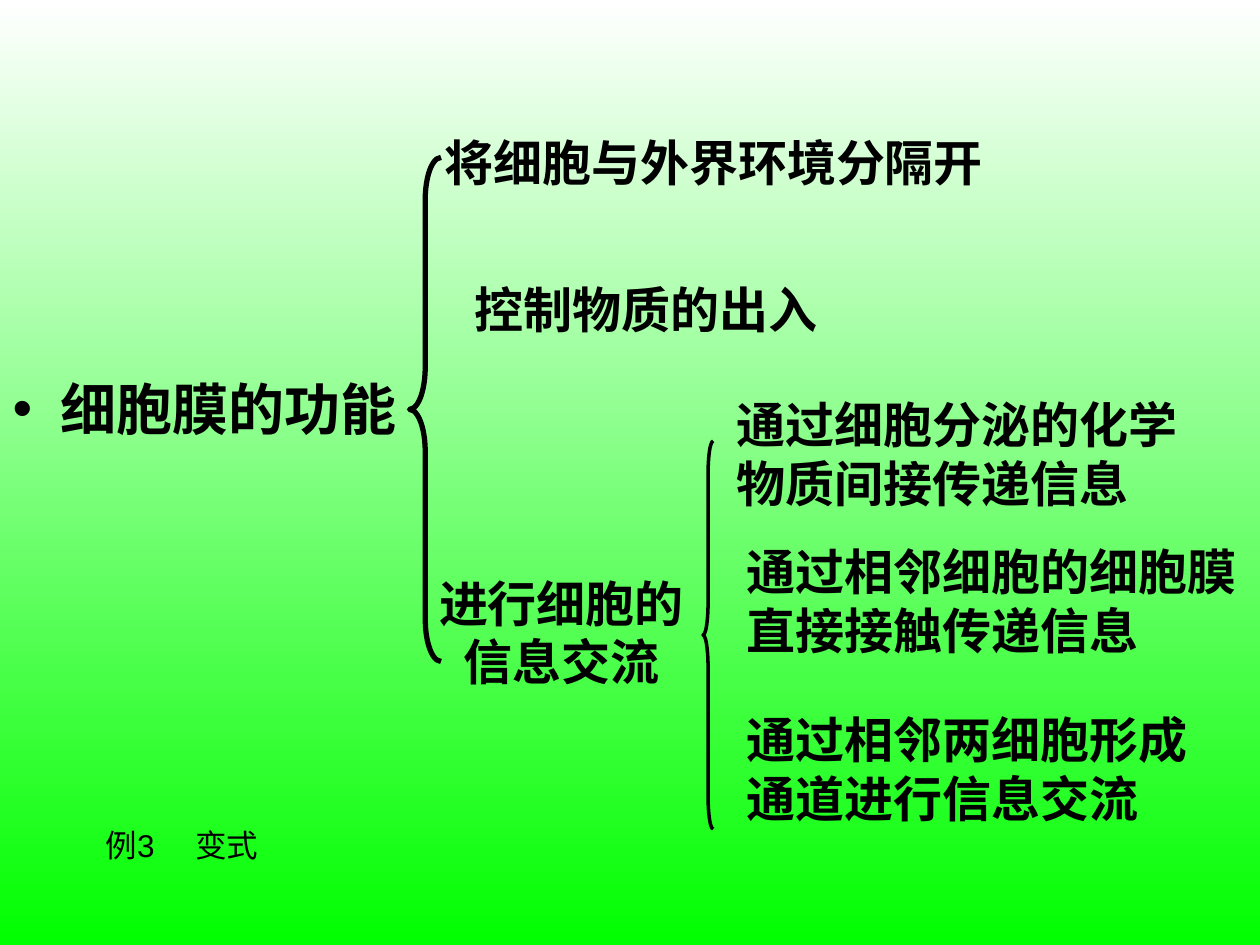
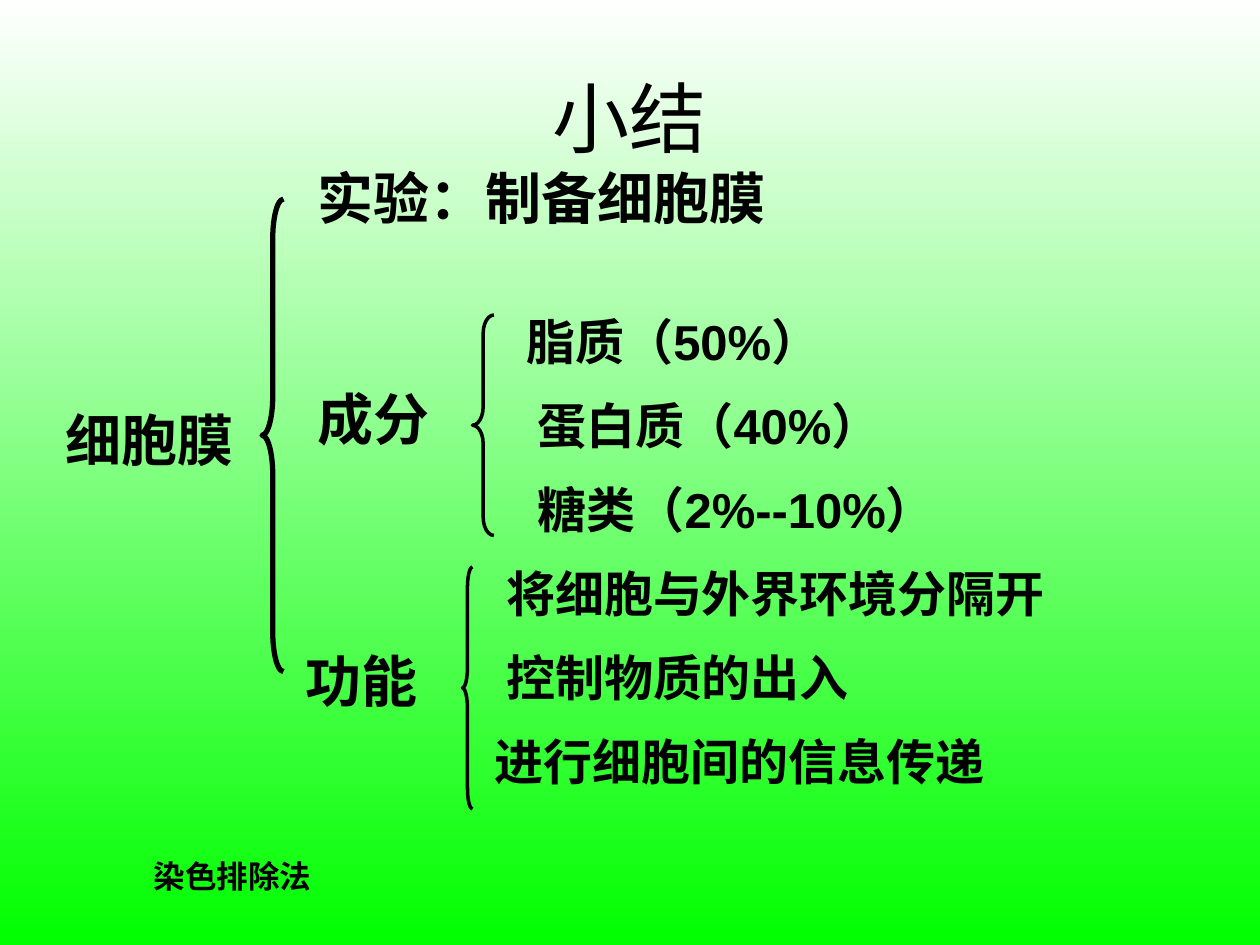
from lxml import etree
from pptx import Presentation
from pptx.dml.color import RGBColor
from pptx.enum.lang import MSO_LANGUAGE_ID
from pptx.enum.shapes import MSO_SHAPE
from pptx.enum.text import MSO_ANCHOR, MSO_AUTO_SIZE, PP_ALIGN
from pptx.oxml.ns import qn
from pptx.util import Inches, Pt

LEFT, CENTER = PP_ALIGN.LEFT, PP_ALIGN.CENTER
TOP, MIDDLE = MSO_ANCHOR.TOP, MSO_ANCHOR.MIDDLE
NO_FIT = MSO_AUTO_SIZE.NONE
LEFT_BRACE = MSO_SHAPE.LEFT_BRACE
CHINESE = MSO_LANGUAGE_ID.SIMPLIFIED_CHINESE

FONT = "Arial"
COLORS = {"ink": "000000", "sky": "FFFFFF", "grass": "00FF00"}
TITLE_SIZE, HEADING_SIZE, ITEM_SIZE, NOTE_SIZE = 44, 32, 28, 18
LINE_HEIGHT = {HEADING_SIZE: 0.54, ITEM_SIZE: 0.47, NOTE_SIZE: 0.3}
ITEM_PITCH = 0.67
BULLET_INDENT = 0.38

FUNCTIONS = {
    "topic": ("细胞膜的功能", (0, 2.92, 3.67, 0.67)),
    "braces": [(3.25, 1.25, 0.25, 4, 3), (5.58, 3.5, 0.08, 3.08, 2)],
    "items": [
        ("将细胞与外界环境分隔开", 3.33, 1, 4.67, 1, CENTER),
        ("控制物质的出入", 3.67, 2.17, 3.67, 1, LEFT),
        ("进行细胞的信息交流", 3.33, 4.5, 2.25, 2, CENTER),
        ("通过细胞分泌的化学物质间接传递信息", 5.75, 3.08, 3.92, 2, LEFT),
        ("通过相邻细胞的细胞膜直接接触传递信息", 5.83, 4.25, 4.17, 2, LEFT),
        ("通过相邻两细胞形成通道进行信息交流", 5.83, 5.58, 3.75, 2, LEFT),
    ],
    "note": ("例3\t变式", 0.74, 6.51, 2.76),
    "note_tab": 0.71,
}

SUMMARY = {
    "title": ("小结", (0.5, 0.3, 9, 1.25)),
    "headings": [
        ("细胞膜", 0.42, 3.17, 1.67),
        ("实验：制备细胞膜", 2.42, 1.25, 5.08),
        ("成分", 2.42, 3, 1.5),
        ("功能", 2.33, 5.08, 1.33),
    ],
    "braces": [
        (2.08, 1.58, 0.17, 3.75, 3),
        (3.75, 2.5, 0.17, 1.75, 2),
        (3.67, 4.5, 0.08, 1.92, 2),
    ],
    "lists": [
        (2.42, [("脂质（50%）", 4.08, 3.58),
                ("蛋白质（40%）", 4.17, 4.58),
                ("糖类（2%--10%）", 4.17, 3.58)]),
        (4.42, [("将细胞与外界环境分隔开", 3.92, 5),
                ("控制物质的出入", 3.92, 3.67),
                ("进行细胞间的信息传递", 3.83, 4.58)]),
    ],
    "note": ("染色排除法", 1.12, 6.75, 3.38),
}


def color(name):
    return RGBColor.from_string(COLORS[name])


def paint_background(master):
    fill = master.background.fill
    fill.gradient()
    fill.gradient_angle = 270
    for stop, name in zip(fill.gradient_stops, ("sky", "grass")):
        stop.color.rgb = color(name)


def write(para, text, size, bold=True, align=LEFT):
    para.alignment = align
    para.space_before = Pt(0)
    span = para.add_run()
    span.text = text
    span.font.name = FONT
    span.font.size = Pt(size)
    span.font.bold = bold
    span.font.color.rgb = color("ink")
    span.font.language_id = CHINESE


def add_label(page, text, left, top, width, size, lines=1, align=LEFT, bold=True):
    height = LINE_HEIGHT[size] * lines + 0.1
    box = page.shapes.add_textbox(*map(Inches, (left, top, width, height)))
    box.text_frame.word_wrap = True
    para = box.text_frame.paragraphs[0]
    write(para, text, size, bold, align)
    return para


def add_brace(page, left, top, width, height, weight):
    brace = page.shapes.add_shape(LEFT_BRACE, *map(Inches, (left, top, width, height)))
    brace.adjustments[0] = height / 12 / width
    brace.shadow.inherit = False
    brace.fill.background()
    brace.line.color.rgb = color("ink")
    brace.line.width = Pt(weight)


def fill_placeholder(holder, text, place, size, bold, align, anchor):
    holder.left, holder.top, holder.width, holder.height = map(Inches, place)
    frame = holder.text_frame
    frame.auto_size = NO_FIT
    frame.vertical_anchor = anchor
    write(frame.paragraphs[0], text, size, bold, align)
    return frame.paragraphs[0]


def add_bullet(para):
    properties = para._p.get_or_add_pPr()
    properties.set("marL", str(Inches(BULLET_INDENT)))
    properties.set("indent", str(-Inches(BULLET_INDENT)))
    tint = etree.SubElement(properties, qn("a:buClr"))
    etree.SubElement(tint, qn("a:srgbClr"), val=COLORS["ink"])
    etree.SubElement(properties, qn("a:buChar"), char="•")


def add_tab(para, position):
    stops = etree.SubElement(para._p.get_or_add_pPr(), qn("a:tabLst"))
    etree.SubElement(stops, qn("a:tab"), pos=str(Inches(position)), algn="l")


def build_functions(deck):
    page = deck.slides.add_slide(deck.slide_layouts[1])
    title = page.shapes.title
    title.element.getparent().remove(title.element)
    text, place = FUNCTIONS["topic"]
    add_bullet(fill_placeholder(page.placeholders[1], text, place,
                                HEADING_SIZE, True, LEFT, TOP))
    for brace in FUNCTIONS["braces"]:
        add_brace(page, *brace)
    for text, left, top, width, lines, align in FUNCTIONS["items"]:
        add_label(page, text, left, top, width, ITEM_SIZE, lines, align)
    note = add_label(page, *FUNCTIONS["note"], NOTE_SIZE, bold=False)
    add_tab(note, FUNCTIONS["note_tab"])


def build_summary(deck):
    page = deck.slides.add_slide(deck.slide_layouts[5])
    text, place = SUMMARY["title"]
    fill_placeholder(page.shapes.title, text, place, TITLE_SIZE, False, CENTER, MIDDLE)
    for heading in SUMMARY["headings"]:
        add_label(page, *heading, HEADING_SIZE)
    for brace in SUMMARY["braces"]:
        add_brace(page, *brace)
    for first_top, items in SUMMARY["lists"]:
        for row, (text, left, width) in enumerate(items):
            add_label(page, text, left, first_top + row * ITEM_PITCH, width, ITEM_SIZE)
    add_label(page, *SUMMARY["note"], NOTE_SIZE)


def main():
    deck = Presentation()
    deck.slide_width, deck.slide_height = Inches(10), Inches(7.5)
    paint_background(deck.slide_master)
    build_functions(deck)
    build_summary(deck)
    deck.save("out.pptx")


if __name__ == "__main__":
    main()
